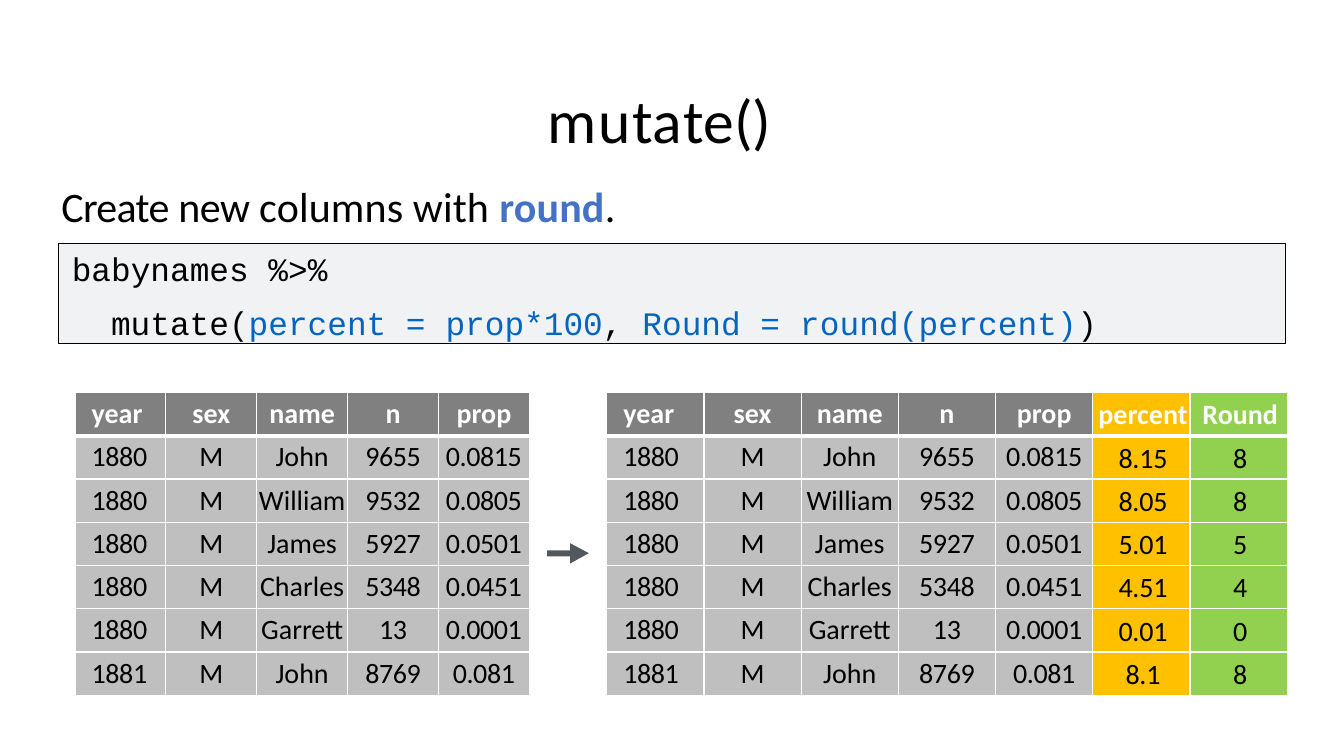
from dataclasses import dataclass
from typing import NamedTuple, Optional

from lxml import etree
from pptx import Presentation
from pptx import util as u
from pptx.dml.color import RGBColor
from pptx.enum import shapes, text
from pptx.oxml.ns import qn


@dataclass(frozen=True)
class Theme:
    body_font: str = "Calibri"
    code_font: str = "Courier New"
    title_size: float = 44
    lead_size: float = 30
    code_size: float = 23.4
    cell_size: float = 20
    black: str = "000000"
    white: str = "FFFFFF"
    keyword: str = "4472C4"
    code_accent: str = "0365C0"
    code_fill: str = "F0F2F4"
    arrow: str = "53585F"
    header: str = "808080"
    body: str = "BFBFBF"
    percent: str = "FFC000"
    rounded: str = "92D050"


THEME = Theme()


class Piece(NamedTuple):
    """A stretch of text in one style; spacing is in points."""
    words: str
    spacing: float = 0
    color: str = THEME.black
    bold: bool = False


class Column(NamedTuple):
    heading: str
    values: list[str]
    spacing: float = 0
    accent: Optional[str] = None
    indent: float = 0
    centered: bool = True


BABYNAMES = [
    Column("year", ["1880"] * 5 + ["1881"], -0.3, indent=0.42, centered=False),
    Column("sex", ["M"] * 6),
    Column("name", ["John", "William", "James", "Charles", "Garrett", "John"]),
    Column("n", ["9655", "9532", "5927", "5348", "13", "8769"], -0.3),
    Column("prop", ["0.0815", "0.0805", "0.0501", "0.0451", "0.0001", "0.081"], -0.3),
]
NEW_COLUMNS = [
    Column("percent", ["8.15", "8.05", "5.01", "4.51", "0.01", "8.1"], -0.2,
           THEME.percent, 0.08),
    Column("Round", ["8", "8", "5", "4", "0", "8"], 0, THEME.rounded, 0.08),
]
TITLE = [Piece("mu", 1.1), Piece("t", -0.9), Piece("a", 0.5), Piece("t", -0.6),
         Piece("e()", -0.1)]
LEAD = [Piece("Create ", -0.5), Piece("new ", -0.3), Piece("columns with ", 0.1),
        Piece("round", 0.1, THEME.keyword, True), Piece(".", 0.1)]
CODE_START = [Piece("babynames "), Piece("%>%", 0.1)]
CODE_MUTATE = [
    Piece("mutate("),
    Piece("percent ", 0, THEME.code_accent),
    Piece("= ", 0.1, THEME.code_accent),
    Piece("prop*100", 0, THEME.code_accent),
    Piece(", ", 0.1),
    Piece("Round ", 0, THEME.code_accent),
    Piece("= round(percent)", 0.1, THEME.code_accent),
    Piece(")", 0.1),
]


def write(paragraph, pieces: list[Piece], font: str, size: float,
          indent: float = 0, centered: bool = False) -> None:
    paragraph.alignment = text.PP_ALIGN.CENTER if centered else text.PP_ALIGN.LEFT
    paragraph._p.get_or_add_pPr().set("marL", str(u.Cm(indent)))
    for piece in pieces:
        run = paragraph.add_run()
        run.text = piece.words
        run.font.name = font
        run.font.size = u.Pt(size)
        run.font.bold = piece.bold
        run.font.color.rgb = RGBColor.from_string(piece.color)
        run._r.get_or_add_rPr().set("spc", str(round(piece.spacing * 100)))


def set_margins(holder, top: float) -> None:
    """Give a text frame or a cell a top margin only."""
    holder.margin_left = holder.margin_right = holder.margin_bottom = 0
    holder.margin_top = u.Cm(top)


def add_line_of_text(slide, left: float, top: float, width: float, height: float,
                     pieces: list[Piece], size: float) -> None:
    frame = slide.shapes.add_textbox(
        u.Cm(left), u.Cm(top), u.Cm(width), u.Cm(height)).text_frame
    frame.word_wrap = True
    set_margins(frame, 0.03)
    write(frame.paragraphs[0], pieces, THEME.body_font, size, 0.03)


def add_code(slide) -> None:
    panel = slide.shapes.add_shape(
        shapes.MSO_SHAPE.RECTANGLE, u.Cm(1.48), u.Cm(6.14), u.Cm(30.92), u.Cm(2.52))
    panel.shadow.inherit = False
    panel.fill.solid()
    panel.fill.fore_color.rgb = RGBColor.from_string(THEME.code_fill)
    panel.line.color.rgb = RGBColor.from_string(THEME.black)
    panel.line.width = u.Pt(0.82)
    frame = panel.text_frame
    frame.word_wrap = True
    frame.vertical_anchor = text.MSO_ANCHOR.TOP
    set_margins(frame, 0.12)
    write(frame.paragraphs[0], CODE_START, THEME.code_font, THEME.code_size, 0.33)
    mutate_line = frame.add_paragraph()
    write(mutate_line, CODE_MUTATE, THEME.code_font, THEME.code_size, 1.32)
    mutate_line.space_before = u.Pt(11)


def add_arrow(slide) -> None:
    left, top = 13.79, 13.69
    outline = [(0.58, 0), (0.58, 0.18), (0, 0.18), (0, 0.33),
               (0.58, 0.33), (0.58, 0.51), (1.05, 0.25)]
    points = [(u.Cm(left + x), u.Cm(top + y)) for x, y in outline]
    builder = slide.shapes.build_freeform(*points[0])
    builder.add_line_segments(points[1:], close=True)
    arrow = builder.convert_to_shape()
    arrow.shadow.inherit = False
    arrow.fill.solid()
    arrow.fill.fore_color.rgb = RGBColor.from_string(THEME.arrow)
    arrow.line.fill.background()


def add_borders(cell, top: float, bottom: float) -> None:
    """Draw white cell borders; widths are in points."""
    properties = cell._tc.get_or_add_tcPr()
    for side, width in {"lnL": 1, "lnR": 1, "lnT": top, "lnB": bottom}.items():
        border = etree.SubElement(properties, qn(f"a:{side}"), w=str(u.Pt(width)))
        solid = etree.SubElement(border, qn("a:solidFill"))
        etree.SubElement(solid, qn("a:srgbClr"), val=THEME.white)


def add_data_table(slide, left: float, column_width: float,
                   columns: list[Column]) -> None:
    row_count, row_height = len(columns[0].values) + 1, 1.09
    table = slide.shapes.add_table(
        row_count, len(columns), u.Cm(left), u.Cm(9.89),
        u.Cm(column_width * len(columns)), u.Cm(row_height * row_count)).table
    table.horz_banding = False
    for row in table.rows:
        row.height = u.Cm(row_height)
    for column_index, column in enumerate(columns):
        table.columns[column_index].width = u.Cm(column_width)
        for row_index, words in enumerate([column.heading, *column.values]):
            heading = row_index == 0
            cell = table.cell(row_index, column_index)
            add_borders(cell, 3 if row_index == 1 else 1, 3 if heading else 1)
            cell.fill.solid()
            cell.fill.fore_color.rgb = RGBColor.from_string(
                column.accent or (THEME.header if heading else THEME.body))
            set_margins(cell, 0.14 if column.accent else 0.11)
            piece = (Piece(words, 0, THEME.white, True) if heading
                     else Piece(words, column.spacing))
            write(cell.text_frame.paragraphs[0], [piece], THEME.body_font,
                  THEME.cell_size, column.indent, column.centered)


def main() -> None:
    deck = Presentation()
    deck.slide_width, deck.slide_height = u.Cm(33.87), u.Cm(19.05)
    slide = deck.slides.add_slide(deck.slide_layouts[6])
    add_line_of_text(slide, 13.77, 2.03, 6.4, 1.91, TITLE, THEME.title_size)
    add_line_of_text(slide, 1.52, 4.52, 15.42, 1.3, LEAD, THEME.lead_size)
    add_arrow(slide)
    add_data_table(slide, 1.89, 2.29, BABYNAMES)
    add_data_table(slide, 15.29, 2.45, BABYNAMES + NEW_COLUMNS)
    add_code(slide)
    deck.save("out.pptx")


if __name__ == "__main__":
    main()
